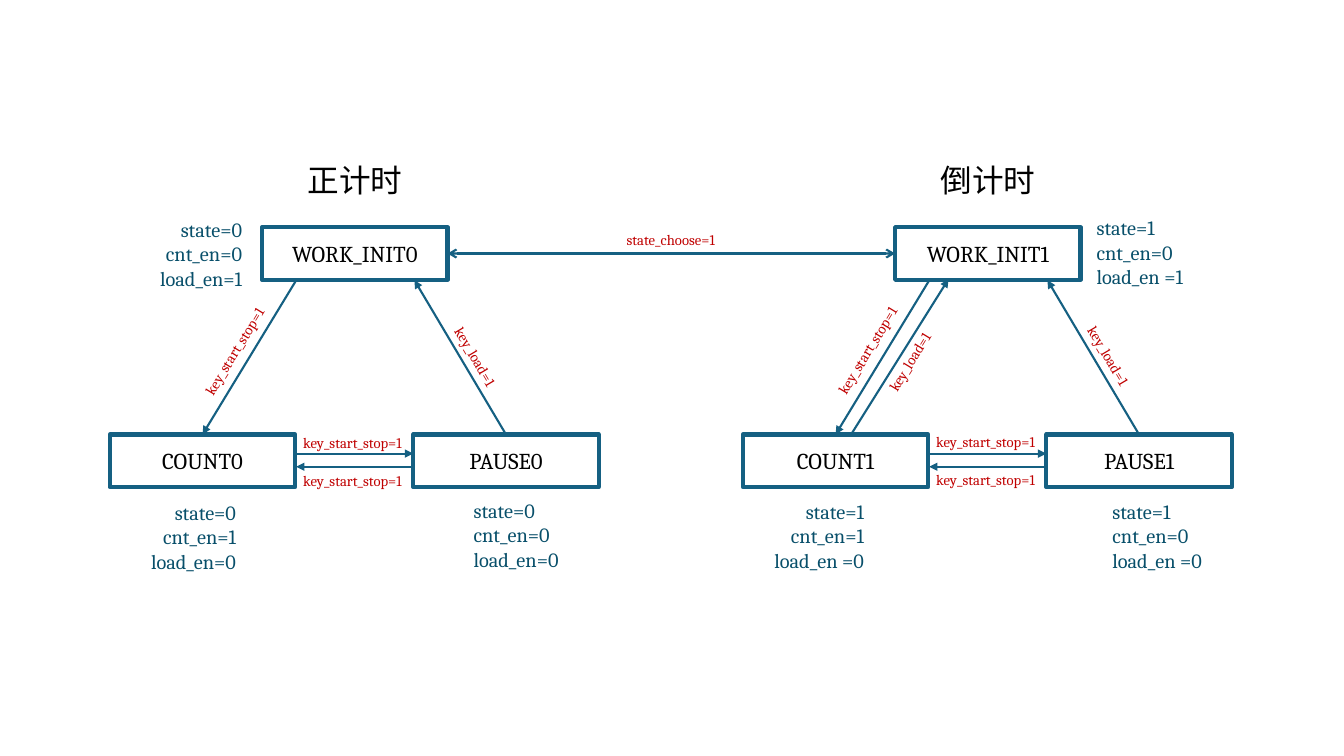
"""Build a slide with the state machine of an up and down timer."""
from lxml import etree
from pptx import Presentation
from pptx.dml.color import RGBColor
from pptx.enum.shapes import MSO_CONNECTOR, MSO_SHAPE
from pptx.enum.text import MSO_ANCHOR, PP_ALIGN
from pptx.oxml.ns import qn
from pptx.util import Pt

LEFT, CENTER, RIGHT = PP_ALIGN.LEFT, PP_ALIGN.CENTER, PP_ALIGN.RIGHT
MIDDLE, TOP = MSO_ANCHOR.MIDDLE, MSO_ANCHOR.TOP
RECTANGLE, STRAIGHT = MSO_SHAPE.RECTANGLE, MSO_CONNECTOR.STRAIGHT

COLORS = {"edge": "156082", "fill": "FFFFFF", "state": "000000",
          "note": "084F6A", "event": "C00000"}
LATIN, CHINESE = "Cambria", "Noto Sans CJK SC"
STYLES = {
    "title": (22.6, CHINESE, COLORS["state"]),
    "state": (16.2, LATIN, COLORS["state"]),
    "note": (14.55, LATIN, COLORS["note"]),
    "event": (10.55, LATIN, COLORS["event"]),
}
SLIDE_SIZE = (960, 540)
STATE_SIZE = (132.4, 37.6)
EVENT_SIZE = (97.2, 20.2)
MACHINE_GAP = 452.2
EVENT_LIFT = 0.7
UPHILL, DOWNHILL = 301.3, 59.5

TITLES = ["正计时", "倒计时"]
TITLE_BOX = (187.2, 111.6, 132.6, 34.6)
STATES = [("WORK_INIT", 187.2, 162.3), ("COUNT", 78.4, 310.4), ("PAUSE", 295.2, 310.4)]
ARROWS = [
    ((211.5, 324), (295.2, 324)),
    ((293.8, 333.4), (211.5, 333.4)),
    ((211.6, 200.2), (144.7, 310.3)),
    ((361.4, 310.3), (296, 200.1)),
]
EVENTS = [
    ("key_start_stop=1", 209.4, 306.1, LEFT, 0),
    ("key_start_stop=1", 209.4, 333.4, LEFT, 0),
    ("key_start_stop=1", 122, 235.6, LEFT, UPHILL),
    ("key_load=1", 290.9, 244.7, CENTER, DOWNHILL),
]
NOTES = [
    (["state=0", "cnt_en=0", "load_en=1"], 53.3, 151.6, 126.7, RIGHT),
    (["state=0", "cnt_en=1", "load_en=0"], 67.7, 353.5, 108, RIGHT),
    (["state=0", "cnt_en=0", "load_en=0"], 331.2, 352.1, 80.6, LEFT),
    (["state=1", "cnt_en=0", "load_en =1"], 776.2, 150.2, 108.7, LEFT),
    (["state=1", "cnt_en=1", "load_en =0"], 468, 352.8, 156.2, RIGHT),
    (["state=1", "cnt_en=0", "load_en =0"], 787.5, 352.8, 97.2, LEFT),
]
NOTE_HEIGHT = 60.5
RELOAD_ARROW = ((608.4, 309.6), (677.5, 199.4))
RELOAD_EVENT = ("key_load=1", 601.2, 248.4, CENTER, UPHILL)
CHOOSE_ARROW = ((319.7, 181.1), (639.4, 181.1))
CHOOSE_EVENT = ("state_choose=1", 430.6, 161.3, CENTER, 0)


def write(shape, lines, style, align, anchor):
    size, font, color = STYLES[style]
    frame = shape.text_frame
    frame.word_wrap = True
    frame.vertical_anchor = anchor
    for index, line in enumerate(lines):
        para = frame.add_paragraph() if index else frame.paragraphs[0]
        para.alignment = align
        span = para.add_run()
        span.text = line
        span.font.size = Pt(size)
        span.font.name = font
        span.font.color.rgb = RGBColor.from_string(color)
        east_asian = etree.SubElement(span.font._element, qn("a:ea"))
        east_asian.set("typeface", font)


def add_text(page, lines, bounds, style, align, angle=0):
    box = page.shapes.add_textbox(*map(Pt, bounds))
    box.rotation = angle
    write(box, lines, style, align, TOP)


def add_event(page, text, left, top, align, angle):
    add_text(page, [text], (left, top, *EVENT_SIZE), "event", align, angle)


def add_state(page, name, left, top):
    box = page.shapes.add_shape(RECTANGLE, *map(Pt, (left, top, *STATE_SIZE)))
    box.shadow.inherit = False
    box.fill.solid()
    box.fill.fore_color.rgb = RGBColor.from_string(COLORS["fill"])
    box.line.color.rgb = RGBColor.from_string(COLORS["edge"])
    box.line.width = Pt(3)
    write(box, [name], "state", CENTER, MIDDLE)


def add_arrow(page, start, end, heads):
    arrow = page.shapes.add_connector(STRAIGHT, *map(Pt, (*start, *end)))
    arrow.line.color.rgb = RGBColor.from_string(COLORS["edge"])
    arrow.line.width = Pt(1.5)
    line = arrow.line._get_or_add_ln()
    for tag, kind in heads.items():
        etree.SubElement(line, qn(tag)).set("type", kind)
    etree.SubElement(arrow._element.spPr, qn("a:effectLst"))


def add_machine(page, number, title):
    shift, lift = number * MACHINE_GAP, number * EVENT_LIFT
    left, *rest = TITLE_BOX
    add_text(page, [title], (left + shift, *rest), "title", CENTER)
    for name, left, top in STATES:
        add_state(page, f"{name}{number}", left + shift, top)
    for (x1, y1), (x2, y2) in ARROWS:
        add_arrow(page, (x1 + shift, y1), (x2 + shift, y2), {"a:tailEnd": "triangle"})
    for text, left, top, align, angle in EVENTS:
        add_event(page, text, left + shift, top - lift, align, angle)


def main():
    deck = Presentation()
    deck.slide_width, deck.slide_height = map(Pt, SLIDE_SIZE)
    page = deck.slides.add_slide(deck.slide_layouts[6])
    for number, title in enumerate(TITLES):
        add_machine(page, number, title)
    for lines, left, top, width, align in NOTES:
        add_text(page, lines, (left, top, width, NOTE_HEIGHT), "note", align)
    add_arrow(page, *RELOAD_ARROW, {"a:tailEnd": "triangle"})
    add_event(page, *RELOAD_EVENT)
    add_arrow(page, *CHOOSE_ARROW, {"a:headEnd": "arrow", "a:tailEnd": "arrow"})
    add_event(page, *CHOOSE_EVENT)
    deck.save("out.pptx")


if __name__ == "__main__":
    main()
